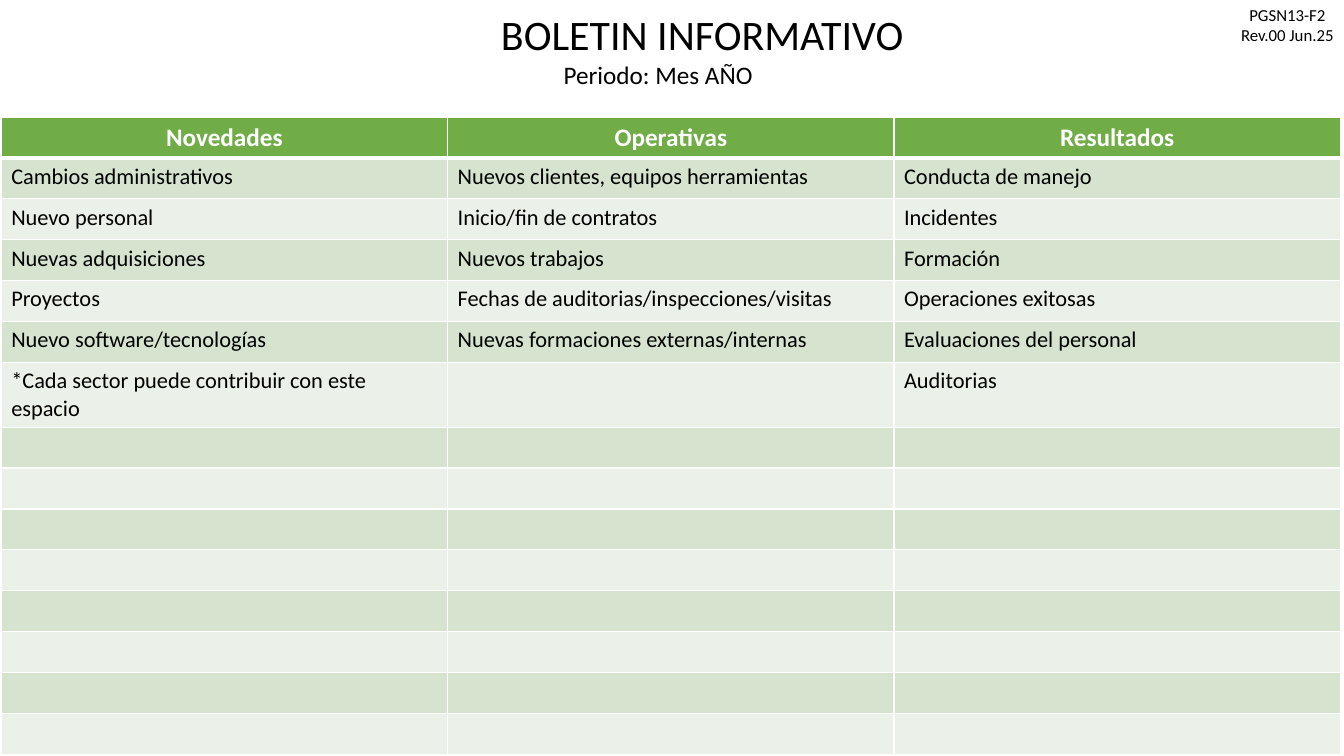
"""Build the one-slide news bulletin with its three-column table."""
from dataclasses import dataclass
from itertools import zip_longest

from lxml import etree
from pptx import Presentation
from pptx.dml.color import RGBColor
from pptx.enum.text import MSO_ANCHOR, MSO_AUTO_SIZE, PP_ALIGN
from pptx.oxml.ns import qn
from pptx.util import Cm, Pt

LEFT, CENTER = PP_ALIGN.LEFT, PP_ALIGN.CENTER
TOP, BOTTOM = MSO_ANCHOR.TOP, MSO_ANCHOR.BOTTOM
NO_AUTOFIT = MSO_AUTO_SIZE.NONE

HEADING = "BOLETIN INFORMATIVO"
PERIOD = "Periodo: Mes AÑO"
FORM_CODE = ["PGSN13-F2", "Rev.00 Jun.25"]
TOPICS = {
    "Novedades": [
        "Cambios administrativos",
        "Nuevo personal",
        "Nuevas adquisiciones",
        "Proyectos",
        "Nuevo software/tecnologías",
        "*Cada sector puede contribuir con este espacio",
    ],
    "Operativas": [
        "Nuevos clientes, equipos herramientas",
        "Inicio/fin de contratos",
        "Nuevos trabajos",
        "Fechas de auditorias/inspecciones/visitas",
        "Nuevas formaciones externas/internas",
    ],
    "Resultados": [
        "Conducta de manejo",
        "Incidentes",
        "Formación",
        "Operaciones exitosas",
        "Evaluaciones del personal",
        "Auditorias",
    ],
}
BLANK_ROWS = 8


@dataclass(frozen=True)
class Theme:
    font: str = "Calibri"
    ink: str = "000000"
    white: str = "FFFFFF"
    header: str = "70AD47"
    bands: tuple = ("D5E3CF", "EBF1E9")
    heading_size: int = 30
    header_size: int = 18
    period_size: int = 18
    topic_size: int = 16
    code_size: int = 12
    thin: int = 1
    thick: int = 3


THEME = Theme()
COLUMN_WIDTH, ROW_HEIGHT = Cm(11.25), Cm(1.03)


def apply(target, values):
    for attribute, value in values.items():
        setattr(target, attribute, value)


def place(shape, left, top, width, height):
    apply(shape, {"left": Cm(left), "top": Cm(top),
                  "width": Cm(width), "height": Cm(height)})


def write(frame, lines, size, align=LEFT, color=THEME.ink, bold=False, spacing=1.0):
    for index, line in enumerate(lines):
        paragraph = frame.add_paragraph() if index else frame.paragraphs[0]
        apply(paragraph, {"alignment": align, "line_spacing": spacing,
                          "space_before": Pt(0)})
        run = paragraph.add_run()
        run.text = line
        apply(run.font, {"name": THEME.font, "size": Pt(size), "bold": bold})
        run.font.color.rgb = RGBColor.from_string(color)


def border(cell, **widths):
    properties = cell._tc.get_or_add_tcPr()
    for side in "LRTB":
        line = etree.SubElement(properties, qn(f"a:ln{side}"),
                                w=str(Pt(widths.get(side, THEME.thin))))
        fill = etree.SubElement(line, qn("a:solidFill"))
        etree.SubElement(fill, qn("a:srgbClr"), val=THEME.white)


def paint(cell, color):
    cell.fill.solid()
    cell.fill.fore_color.rgb = RGBColor.from_string(color)


def add_topics(slide):
    topic_rows = list(zip_longest(*TOPICS.values(), fillvalue=""))
    topic_rows += [("",) * len(TOPICS)] * BLANK_ROWS
    row_count = len(topic_rows) + 1
    table = slide.shapes.add_table(
        row_count, len(TOPICS), Cm(0.03), Cm(2.95),
        COLUMN_WIDTH * len(TOPICS), ROW_HEIGHT * row_count).table
    for column in table.columns:
        column.width = COLUMN_WIDTH
    for row in table.rows:
        row.height = ROW_HEIGHT

    for column, name in enumerate(TOPICS):
        cell = table.cell(0, column)
        border(cell, B=THEME.thick)
        paint(cell, THEME.header)
        write(cell.text_frame, [name], THEME.header_size, CENTER, THEME.white, True)
    for row, topics in enumerate(topic_rows):
        for column, topic in enumerate(topics):
            cell = table.cell(row + 1, column)
            border(cell, T=THEME.thin if row else THEME.thick)
            paint(cell, THEME.bands[row % 2])
            if topic:
                write(cell.text_frame, [topic], THEME.topic_size)


def main():
    deck = Presentation()
    apply(deck, {"slide_width": Cm(33.87), "slide_height": Cm(19.05)})
    slide = deck.slides.add_slide(deck.slide_layouts[0])

    heading, period = slide.placeholders
    place(heading, 5, 0.18, 25.4, 1.45)
    place(period, 13.95, 1.37, 6, 1.02)
    for holder, anchor in ((heading, BOTTOM), (period, TOP)):
        apply(holder.text_frame, {"vertical_anchor": anchor, "word_wrap": True,
                                  "auto_size": NO_AUTOFIT})
    write(heading.text_frame, [HEADING], THEME.heading_size, CENTER, spacing=0.9)
    write(period.text_frame, [PERIOD], THEME.period_size)

    add_topics(slide)

    form_code = slide.shapes.add_textbox(Cm(31.01), Cm(0), Cm(2.87), Cm(1.27))
    write(form_code.text_frame, FORM_CODE, THEME.code_size, CENTER)
    deck.save("out.pptx")


if __name__ == "__main__":
    main()
